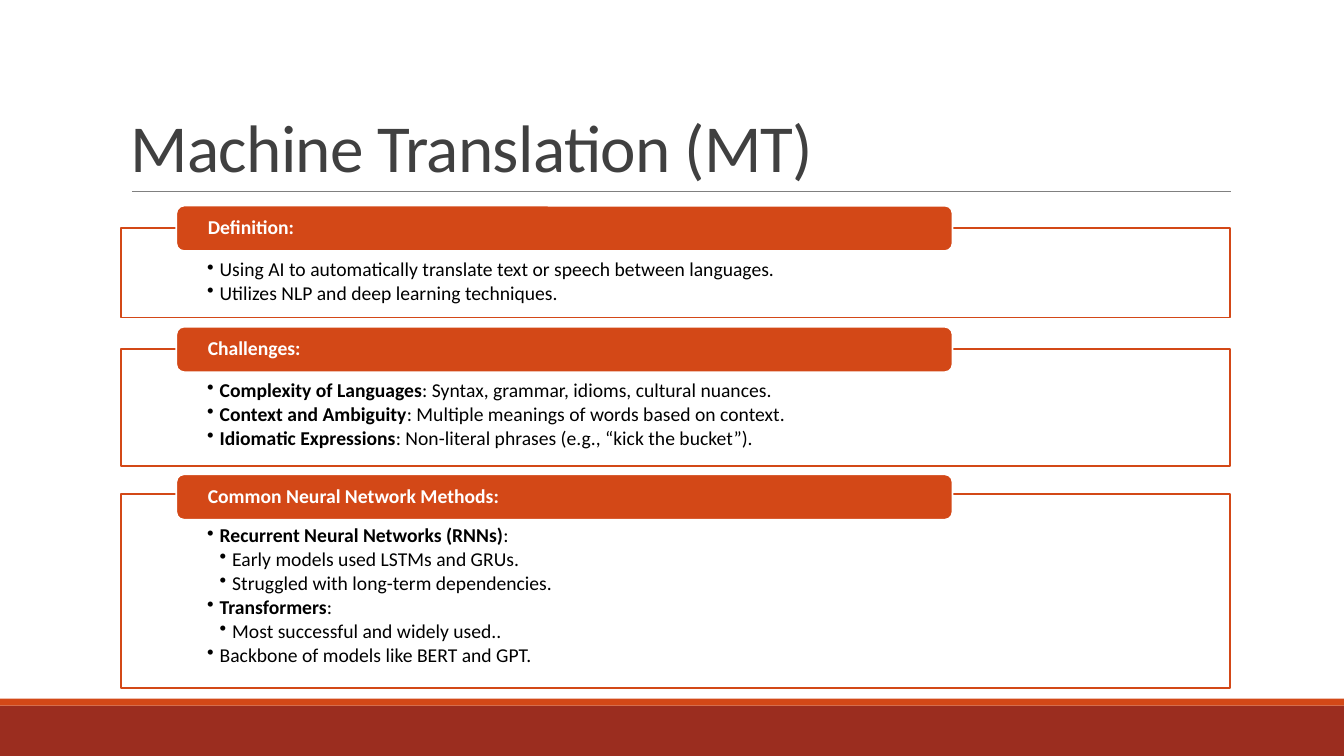
from dataclasses import dataclass

from lxml.etree import SubElement
from pptx import Presentation
from pptx.dml.color import RGBColor
from pptx.enum.shapes import MSO_CONNECTOR as Connector, MSO_SHAPE as Shape
from pptx.enum.text import MSO_ANCHOR as Anchor, PP_ALIGN as Align
from pptx.oxml.ns import qn
from pptx.util import Pt


@dataclass(frozen=True)
class Theme:
    accent: str = "D34817"
    footer: str = "9B2D1F"
    rule: str = "808080"
    title: str = "404040"
    body: str = "000000"
    white: str = "FFFFFF"
    font: str = "Calibri"
    title_size: float = 48
    body_size: float = 14


THEME = Theme()
SLIDE_W, SLIDE_H = 960, 540
PANEL_X, PANEL_W = 86.4, 792
HEADER_X, HEADER_W, HEADER_H = 126, 554.4, 32.4
INDENT = 9

# Heading, header top, panel top, panel height, bullets as (level, bold lead, text)
SECTIONS = [
    ("Definition:", 146.9, 162.8, 64.1, [
        (1, "", "Using AI to automatically translate text or speech between languages."),
        (1, "", "Utilizes NLP and deep learning techniques."),
    ]),
    ("Challenges:", 233.4, 249.2, 83.5, [
        (1, "Complexity of Languages", ": Syntax, grammar, idioms, cultural nuances."),
        (1, "Context and Ambiguity", ": Multiple meanings of words based on context."),
        (1, "Idiomatic Expressions", ": Non-literal phrases (e.g., “kick the bucket”)."),
    ]),
    ("Common Neural Network Methods:", 338.8, 352.8, 138.8, [
        (1, "Recurrent Neural Networks (RNNs)", ":"),
        (2, "", "Early models used LSTMs and GRUs."),
        (2, "", "Struggled with long-term dependencies."),
        (1, "Transformers", ":"),
        (2, "", "Most successful and widely used.."),
        (1, "", "Backbone of models like BERT and GPT."),
    ]),
]


def rgb(color):
    return RGBColor.from_string(color)


def add_block(page, kind, left, top, width, height, fill, line=None):
    block = page.shapes.add_shape(kind, Pt(left), Pt(top), Pt(width), Pt(height))
    block.shadow.inherit = False
    block.fill.solid()
    block.fill.fore_color.rgb = rgb(fill)
    if line:
        block.line.color.rgb = rgb(line)
        block.line.width = Pt(1.25)
    else:
        block.line.fill.background()
    return block


def set_frame(box, anchor, left, top, right, bottom):
    frame = box.text_frame
    frame.word_wrap = True
    frame.vertical_anchor = anchor
    frame.margin_left, frame.margin_top = Pt(left), Pt(top)
    frame.margin_right, frame.margin_bottom = Pt(right), Pt(bottom)
    return frame


def add_span(para, text, size, color, bold=False):
    span = para.add_run()
    span.text = text
    span.font.name = THEME.font
    span.font.size = Pt(size)
    span.font.bold = bold
    span.font.color.rgb = rgb(color)
    return span


def set_bullet(para, level):
    para.level = level
    props = para._p.get_or_add_pPr()
    props.set("marL", str(Pt(INDENT * level)))
    props.set("indent", str(-Pt(INDENT)))
    SubElement(props, qn("a:buChar")).set("char", "•")


def add_title(page, text):
    box = page.shapes.add_textbox(Pt(86.4), Pt(22.3), Pt(792), Pt(114.5))
    frame = set_frame(box, Anchor.BOTTOM, 7.2, 3.6, 7.2, 3.6)
    para = frame.paragraphs[0]
    para.line_spacing = 0.85
    span = add_span(para, text, THEME.title_size, THEME.title)
    span.font._element.set("spc", "-50")


def add_rule(page, left, right, top):
    rule = page.shapes.add_connector(Connector.STRAIGHT, Pt(left), Pt(top), Pt(right), Pt(top))
    rule.line.color.rgb = rgb(THEME.rule)
    rule.line.width = Pt(0.5)
    SubElement(rule._element.spPr, qn("a:effectLst"))


def add_panel(page, top, height, bullets):
    panel = add_block(page, Shape.RECTANGLE, PANEL_X, top, PANEL_W, height,
                      THEME.white, THEME.accent)
    frame = set_frame(panel, Anchor.TOP, 61.5, 22.9, 61.5, 7.8)
    for index, (level, lead, text) in enumerate(bullets):
        para = frame.add_paragraph() if index else frame.paragraphs[0]
        para.alignment = Align.LEFT
        para.line_spacing = 0.9
        para.space_after = Pt(1.9)
        set_bullet(para, level)
        if lead:
            add_span(para, lead, THEME.body_size, THEME.body, bold=True)
        add_span(para, text, THEME.body_size, THEME.body)


def add_header(page, top, text):
    header = add_block(page, Shape.ROUNDED_RECTANGLE, HEADER_X, top, HEADER_W, HEADER_H,
                       THEME.accent, THEME.white)
    frame = set_frame(header, Anchor.MIDDLE, 20.9, 0, 20.9, 0)
    para = frame.paragraphs[0]
    para.alignment = Align.LEFT
    para.line_spacing = 0.9
    add_span(para, text, THEME.body_size, THEME.white, bold=True)


def main():
    deck = Presentation()
    deck.slide_width, deck.slide_height = Pt(SLIDE_W), Pt(SLIDE_H)
    page = deck.slides.add_slide(deck.slide_layouts[6])

    # Footer bands
    add_block(page, Shape.RECTANGLE, 0, 504, SLIDE_W, 36, THEME.footer)
    add_block(page, Shape.RECTANGLE, 0, 499, SLIDE_W, 5, THEME.accent)

    # Title and its rule
    add_rule(page, 94.3, 879.1, 136.8)
    add_title(page, "Machine Translation (MT)")

    # Sections
    for heading, header_top, panel_top, height, bullets in SECTIONS:
        add_panel(page, panel_top, height, bullets)
        add_header(page, header_top, heading)

    deck.save("out.pptx")


if __name__ == "__main__":
    main()
